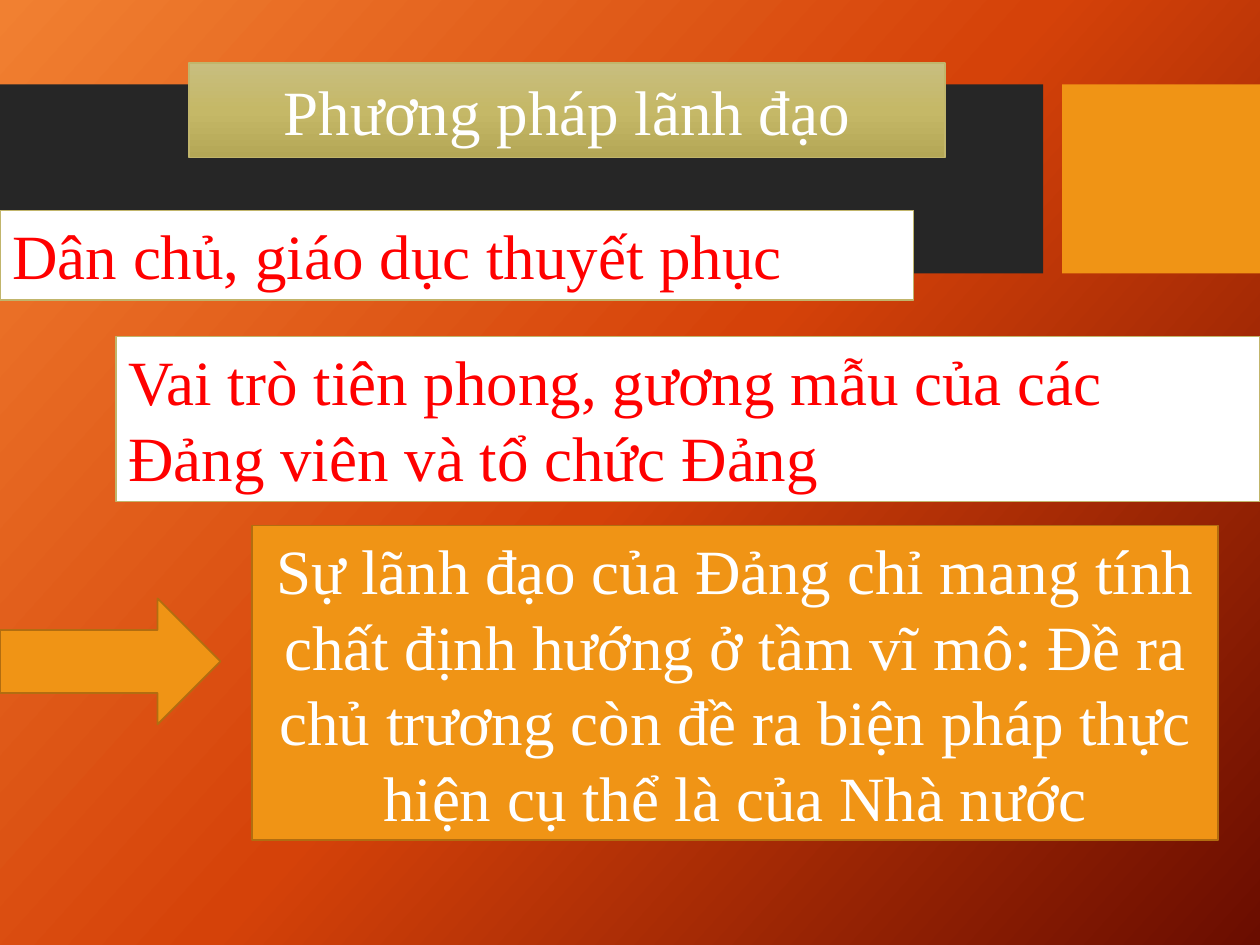
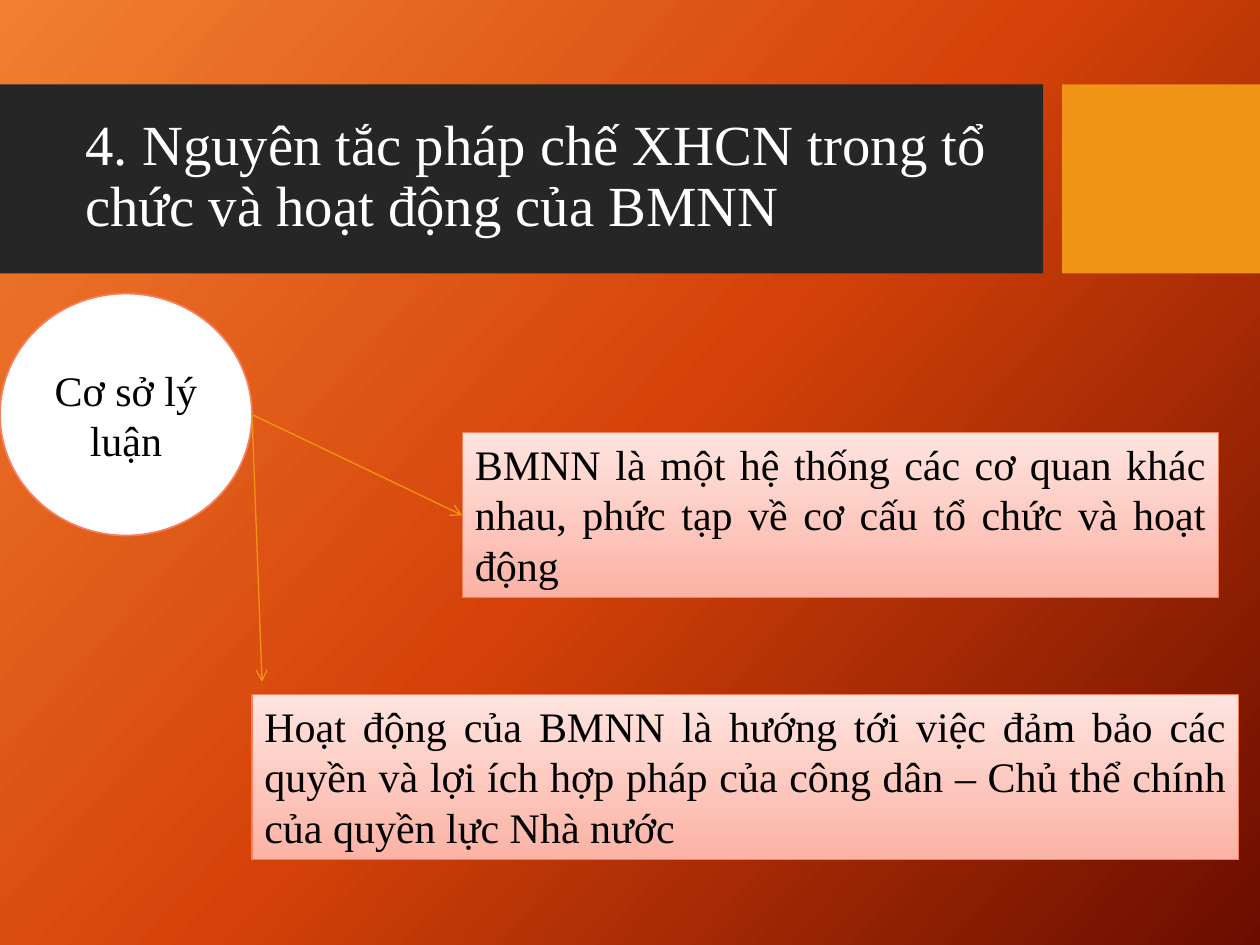
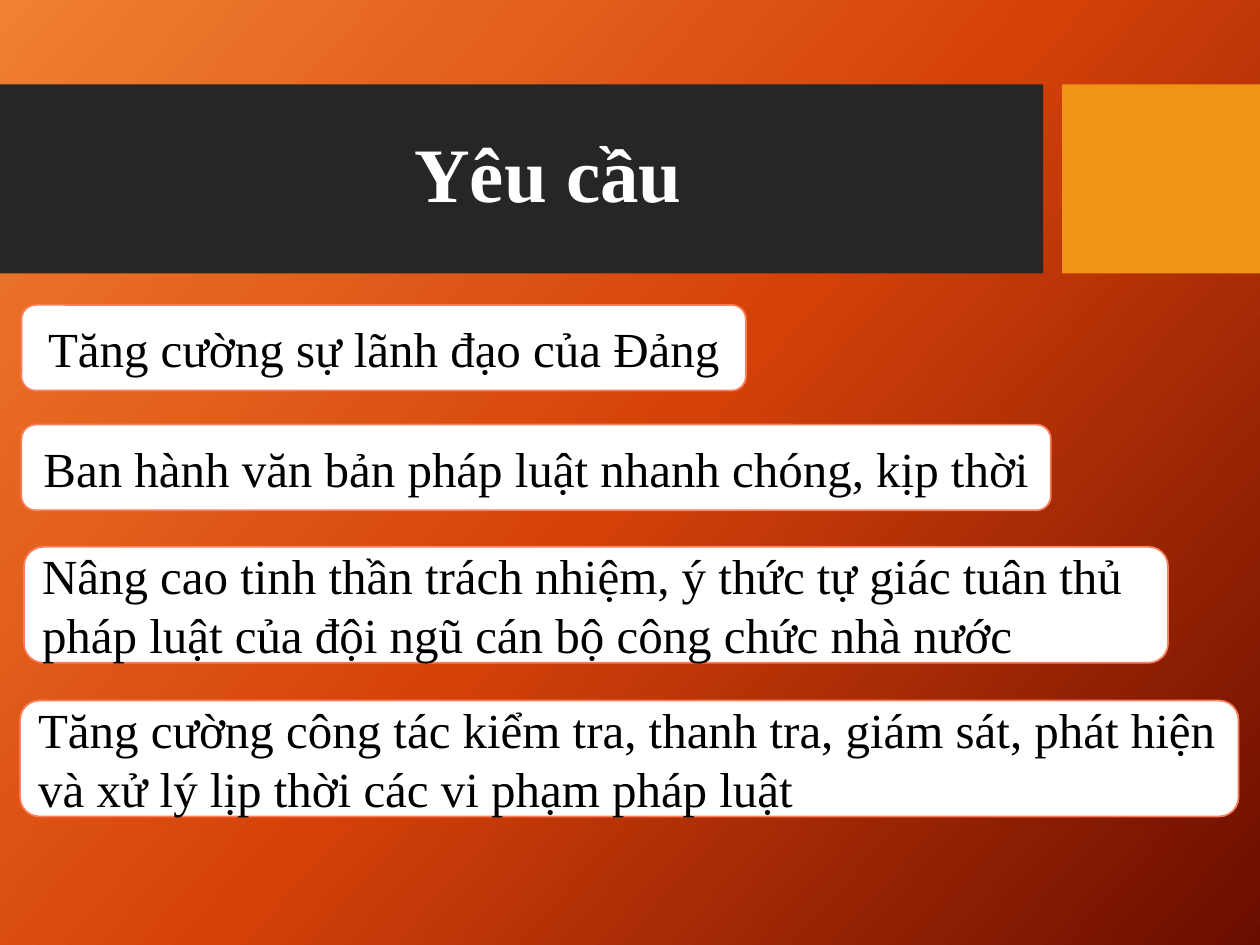
from dataclasses import dataclass
from typing import Optional

import pptx
import pptx.dml.color
import pptx.enum.shapes
import pptx.enum.text
import pptx.oxml
import pptx.oxml.ns
import pptx.util
from lxml import etree

Inches = pptx.util.Inches
Pt = pptx.util.Pt
qn = pptx.oxml.ns.qn
SHAPE = pptx.enum.shapes.MSO_SHAPE
ALIGN = pptx.enum.text.PP_ALIGN
ANCHOR = pptx.enum.text.MSO_ANCHOR

FONT = "Times New Roman"
COLORS = {
    "white": "FFFFFF",
    "black": "000000",
    "red": "FF0000",
    "band": "262626",
    "orange": "F09415",
    "brown": "B26D10",
    "khaki": "C1B56B",
    "coral": "FA7E5C",
}
# Each gradient lists (position in percent, colour) stops.
GRADIENTS = {
    "background": [(0, "F18031"), (50, "D54209"), (100, "6A0D00")],
    "olive": [(0, "C8BE7F"), (50, "C5B867"), (100, "B4A756")],
    "pink": [(0, "FEE4DF"), (100, "FCB2A5")],
}


@dataclass(frozen=True)
class Style:
    shape: SHAPE
    fill: str
    line: Optional[str] = None
    line_width: float = 1
    color: str = "black"
    size: float = 24
    align: ALIGN = ALIGN.CENTER
    grow: bool = False


@dataclass(frozen=True)
class Box:
    left: float
    top: float
    width: float
    height: float
    style: Style
    text: str = ""


BAND = Style(SHAPE.RECTANGLE, "band")
ACCENT = Style(SHAPE.RECTANGLE, "orange")
HEADING = Style(SHAPE.RECTANGLE, "olive", "khaki", 0.75, "white", 36)
METHOD = Style(SHAPE.RECTANGLE, "white", "khaki", 1, "red", 36, ALIGN.LEFT, True)
CONCLUSION = Style(SHAPE.RECTANGLE, "orange", "brown", 1, "white", 36)
ARROW = Style(SHAPE.RIGHT_ARROW, "orange", "brown")
BASIS = Style(SHAPE.OVAL, "white", "coral")
REASON = Style(SHAPE.RECTANGLE, "pink", "coral", 0.75, align=ALIGN.JUSTIFY, grow=True)
SHORT_DEMAND = Style(SHAPE.ROUNDED_RECTANGLE, "white", "coral", size=28)
LONG_DEMAND = Style(SHAPE.ROUNDED_RECTANGLE, "white", "coral", size=28, align=ALIGN.LEFT)

BANDS = [Box(0, 0.67, 8.28, 1.5, BAND), Box(8.43, 0.67, 1.57, 1.5, ACCENT)]

METHODS = [
    Box(1.5, 0.5, 6, 0.75, HEADING, "Phương pháp lãnh đạo"),
    Box(0, 1.67, 7.25, 0.71, METHOD, "Dân chủ, giáo dục thuyết phục"),
    Box(0.92, 2.67, 9.08, 1.31, METHOD,
        "Vai trò tiên phong, gương mẫu của các Đảng viên và tổ chức Đảng"),
    Box(0, 4.75, 1.75, 1, ARROW),
    Box(2, 4.17, 7.67, 2.5, CONCLUSION,
        "Sự lãnh đạo của Đảng chỉ mang tính chất định hướng ở tầm vĩ mô: "
        "Đề ra chủ trương còn đề ra biện pháp thực hiện cụ thể là của Nhà nước"),
]
REASONS = [
    Box(0, 2.33, 2, 1.92, BASIS, "Cơ sở lý luận"),
    Box(3.67, 3.43, 6, 1.31, REASON,
        "BMNN là một hệ thống các cơ quan khác nhau, phức tạp về cơ cấu "
        "tổ chức và hoạt động"),
    Box(2, 5.51, 7.83, 1.31, REASON,
        "Hoạt động của BMNN là hướng tới việc đảm bảo các quyền và lợi ích "
        "hợp pháp của công dân – Chủ thể chính của quyền lực Nhà nước"),
]
DEMANDS = [
    Box(0.17, 2.42, 5.75, 0.68, SHORT_DEMAND, "Tăng cường sự lãnh đạo của Đảng"),
    Box(0.17, 3.37, 8.17, 0.68, SHORT_DEMAND,
        "Ban hành văn bản pháp luật nhanh chóng, kịp thời"),
    Box(0.19, 4.34, 9.08, 0.92, LONG_DEMAND,
        "Nâng cao tinh thần trách nhiệm, ý thức tự giác tuân thủ pháp luật "
        "của đội ngũ cán bộ công chức nhà nước"),
    Box(0.16, 5.56, 9.67, 0.92, LONG_DEMAND,
        "Tăng cường công tác kiểm tra, thanh tra, giám sát, phát hiện và xử lý "
        "lịp thời các vi phạm pháp luật"),
]


def rgb(name: str) -> pptx.dml.color.RGBColor:
    return pptx.dml.color.RGBColor.from_string(COLORS[name])


def set_gradient(fill, element, name: str, angle: float) -> None:
    """Give the fill held in element a linear gradient, angle clockwise."""
    fill.gradient()
    fill.gradient_angle = 360 - angle
    stops = next(element.iter(qn("a:gsLst")))
    for gs in list(stops):
        stops.remove(gs)
    for position, color in GRADIENTS[name]:
        gs = etree.SubElement(stops, qn("a:gs"), pos=str(position * 1000))
        etree.SubElement(gs, qn("a:srgbClr"), val=color)


def write(tf, text: str, size: float, color: str, align: ALIGN):
    tf.word_wrap = True
    p = tf.paragraphs[0]
    p.text = text
    p.alignment = align
    p.font.name = FONT
    p.font.size = Pt(size)
    p.font.color.rgb = rgb(color)
    return p


def add_box(slide, box: Box) -> None:
    style = box.style
    sp = slide.shapes.add_shape(style.shape, Inches(box.left), Inches(box.top),
                                Inches(box.width), Inches(box.height))
    sp.shadow.inherit = False
    if style.fill in GRADIENTS:
        set_gradient(sp.fill, sp.element, style.fill, 90)
    else:
        sp.fill.solid()
        sp.fill.fore_color.rgb = rgb(style.fill)
    if style.line:
        sp.line.color.rgb = rgb(style.line)
        sp.line.width = Pt(style.line_width)
    else:
        sp.line.fill.background()
    if box.text:
        tf = sp.text_frame
        write(tf, box.text, style.size, style.color, style.align)
        tf.vertical_anchor = ANCHOR.TOP if style.grow else ANCHOR.MIDDLE
        if style.grow:
            tf.auto_size = pptx.enum.text.MSO_AUTO_SIZE.SHAPE_TO_FIT_TEXT


def add_title(slide, text: str, size: float, align: ALIGN = ALIGN.LEFT,
              bold: bool = False) -> None:
    sp = slide.shapes.add_textbox(Inches(0.58), Inches(0.82), Inches(7.54), Inches(1.18))
    sp.text_frame.vertical_anchor = ANCHOR.MIDDLE
    p = write(sp.text_frame, text, size, "white", align)
    p.line_spacing = 0.9
    p.font.bold = bold


def add_arrow(slide, start: tuple[float, float], end: tuple[float, float]) -> None:
    line = slide.shapes.add_connector(pptx.enum.shapes.MSO_CONNECTOR.STRAIGHT,
                                      *map(Inches, start + end))
    line.line.color.rgb = rgb("orange")
    line.line.width = Pt(0.75)
    etree.SubElement(line.line._get_or_add_ln(), qn("a:tailEnd"), type="arrow")
    etree.SubElement(line.element.spPr, qn("a:effectLst"))


def add_slide(prs, boxes: list[Box]):
    slide = prs.slides.add_slide(prs.slide_layouts[6])
    for box in BANDS + boxes:
        add_box(slide, box)
    return slide


def main() -> None:
    prs = pptx.Presentation()
    prs.slide_width, prs.slide_height = Inches(10), Inches(7.5)
    master = prs.slide_master
    set_gradient(master.background.fill, master.element, "background", 42)

    add_slide(prs, METHODS)

    slide = add_slide(prs, REASONS)
    add_title(slide, "4. Nguyên tắc pháp chế XHCN trong tổ chức và hoạt động của BMNN", 32.4)
    for end in [(3.67, 4.09), (2.08, 5.41)]:
        add_arrow(slide, (2, 3.29), end)

    slide = add_slide(prs, DEMANDS)
    add_title(slide, "Yêu cầu", 44, ALIGN.CENTER, bold=True)

    prs.save("out.pptx")


if __name__ == "__main__":
    main()
